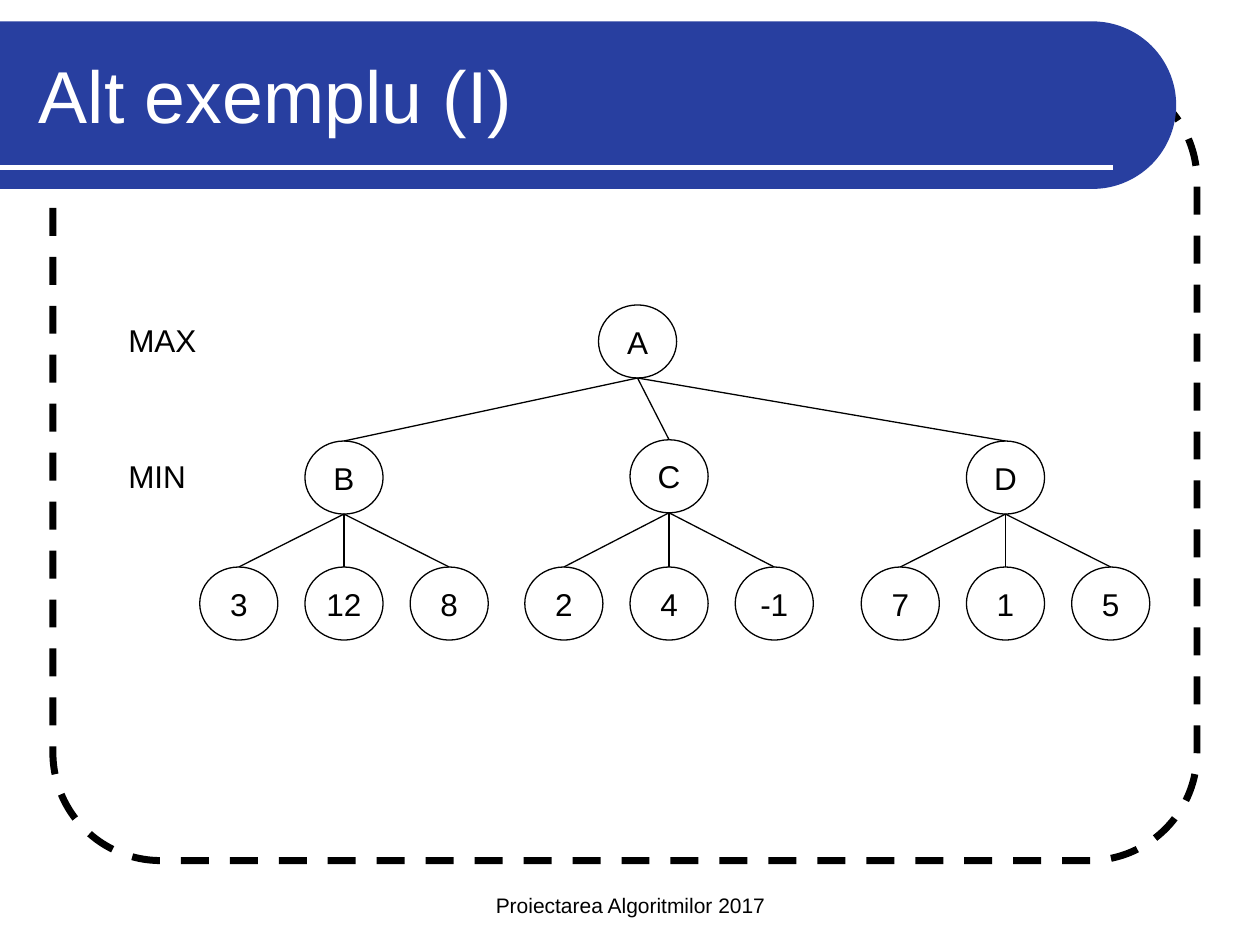
"""Build the minimax tree slide "Alt exemplu (I)"."""
from dataclasses import dataclass
from math import cos, radians, sin

from lxml import etree
from pptx import Presentation
from pptx import util as u
from pptx.dml.color import RGBColor
from pptx.enum import dml, shapes, text
from pptx.oxml.ns import qn

COLOURS = {"ink": "000000", "banner": "283FA0", "paper": "FFFFFF"}
FONT = "Arial"
NODE_WIDTH, NODE_HEIGHT = 0.62, 0.58
LEAF_TOP, LEAF_STEP = 4.5, 0.835


@dataclass(frozen=True)
class Node:
    label: str
    left: float
    top: float

    @property
    def centre(self) -> float:
        return self.left + NODE_WIDTH / 2

    @property
    def bottom(self) -> float:
        return self.top + NODE_HEIGHT


@dataclass(frozen=True)
class Branch:
    node: Node
    leaves: tuple[str, ...]


@dataclass(frozen=True)
class Caption:
    words: str
    box: tuple[float, float, float, float]
    size: int = 18
    colour: str = "ink"
    align: text.PP_ALIGN = text.PP_ALIGN.LEFT
    anchor: text.MSO_ANCHOR = text.MSO_ANCHOR.TOP
    wrap: bool = True


ROOT = Node("A", 4.75, 2.42)
BRANCHES = (
    Branch(Node("B", 2.42, 3.5), ("3", "12", "8")),
    Branch(Node("C", 5, 3.49), ("2", "4", "-1")),
    Branch(Node("D", 7.67, 3.5), ("7", "1", "5")),
)
CAPTIONS = (
    Caption("Proiectarea Algoritmilor 2017", (3.42, 6.83, 3.17, 0.5), 12,
            align=text.PP_ALIGN.CENTER, anchor=text.MSO_ANCHOR.BOTTOM),
    Caption("Alt exemplu (I)", (0.21, 0.25, 8.77, 1), 42, "paper",
            anchor=text.MSO_ANCHOR.MIDDLE),
    Caption("MAX", (0.92, 2.5, 0.74, 0.4), wrap=False),
    Caption("MIN", (0.92, 3.58, 0.66, 0.4), wrap=False),
)


def rgb(name: str) -> RGBColor:
    """Return a named colour."""
    return RGBColor.from_string(COLOURS[name])


def write(shape, words: str, size: int, colour: str, align, anchor, wrap: bool) -> None:
    """Put one formatted paragraph into a shape."""
    frame = shape.text_frame
    frame.text = words
    frame.word_wrap = wrap
    frame.vertical_anchor = anchor
    paragraph = frame.paragraphs[0]
    paragraph.alignment = align
    font = paragraph.runs[0].font
    font.name, font.size = FONT, u.Pt(size)
    font.color.rgb = rgb(colour)


def draw_line(slide, start: tuple[float, float], end: tuple[float, float],
              colour: str = "ink", width: float = 0.75) -> None:
    """Draw a straight line without a shadow."""
    line = slide.shapes.add_connector(
        shapes.MSO_CONNECTOR.STRAIGHT, *map(u.Inches, start + end))
    line.line.color.rgb = rgb(colour)
    line.line.width = u.Pt(width)
    etree.SubElement(line._element.spPr, qn("a:effectLst"))


def draw_outline(slide, kind, box: tuple[float, float, float, float], width: float):
    """Draw an unfilled preset shape with a dark outline."""
    shape = slide.shapes.add_shape(kind, *map(u.Inches, box))
    shape.shadow.inherit = False
    shape.fill.background()
    shape.line.color.rgb = rgb("ink")
    shape.line.width = u.Pt(width)
    return shape


def draw_frame(slide) -> None:
    """Draw the dashed frame, the banner and its underline."""
    frame = draw_outline(slide, shapes.MSO_SHAPE.ROUNDED_RECTANGLE,
                         (0.42, 0.58, 9.08, 6.25), 4)
    frame.adjustments[0] = 0.137
    frame.line.dash_style = dml.MSO_LINE.DASH

    top, bottom, straight = 0.17, 1.5, 8.67
    radius = (bottom - top) / 2
    middle = top + radius
    arc = [(straight + radius * cos(radians(angle)), middle + radius * sin(radians(angle)))
           for angle in range(-90, 91, 3)]
    outline = slide.shapes.build_freeform(0, u.Inches(top))
    outline.add_line_segments(
        [(u.Inches(x), u.Inches(y)) for x, y in arc + [(0, bottom)]], close=True)
    banner = outline.convert_to_shape()
    banner.shadow.inherit = False
    banner.fill.solid()
    banner.fill.fore_color.rgb = rgb("banner")
    banner.line.fill.background()
    draw_line(slide, (0, 1.33), (8.83, 1.33), "paper", 3)


def draw_node(slide, node: Node) -> None:
    """Draw one labelled tree node."""
    oval = draw_outline(slide, shapes.MSO_SHAPE.OVAL,
                        (node.left, node.top, NODE_WIDTH, NODE_HEIGHT), 0.75)
    write(oval, node.label, 18, "ink", text.PP_ALIGN.CENTER, text.MSO_ANCHOR.MIDDLE, False)
    frame = oval.text_frame
    frame.margin_left = frame.margin_right = frame.margin_top = frame.margin_bottom = 0


def draw_child(slide, parent: Node, child: Node) -> None:
    """Draw a node and the edge from its parent."""
    draw_line(slide, (parent.centre, parent.bottom), (child.centre, child.top))
    draw_node(slide, child)


def draw_tree(slide) -> None:
    """Draw the root, its branches and their leaves."""
    draw_node(slide, ROOT)
    for branch in BRANCHES:
        draw_child(slide, ROOT, branch.node)
        for place, label in enumerate(branch.leaves, start=-1):
            leaf = Node(label, branch.node.left + place * LEAF_STEP, LEAF_TOP)
            draw_child(slide, branch.node, leaf)


def draw_caption(slide, caption: Caption) -> None:
    """Draw one free-standing text."""
    box = slide.shapes.add_textbox(*map(u.Inches, caption.box))
    write(box, caption.words, caption.size, caption.colour,
          caption.align, caption.anchor, caption.wrap)


def main() -> None:
    """Build and save the slide."""
    deck = Presentation()
    deck.slide_width, deck.slide_height = u.Inches(10), u.Inches(7.5)
    slide = deck.slides.add_slide(deck.slide_layouts[6])
    draw_frame(slide)
    draw_tree(slide)
    for caption in CAPTIONS:
        draw_caption(slide, caption)
    deck.save("out.pptx")


if __name__ == "__main__":
    main()
